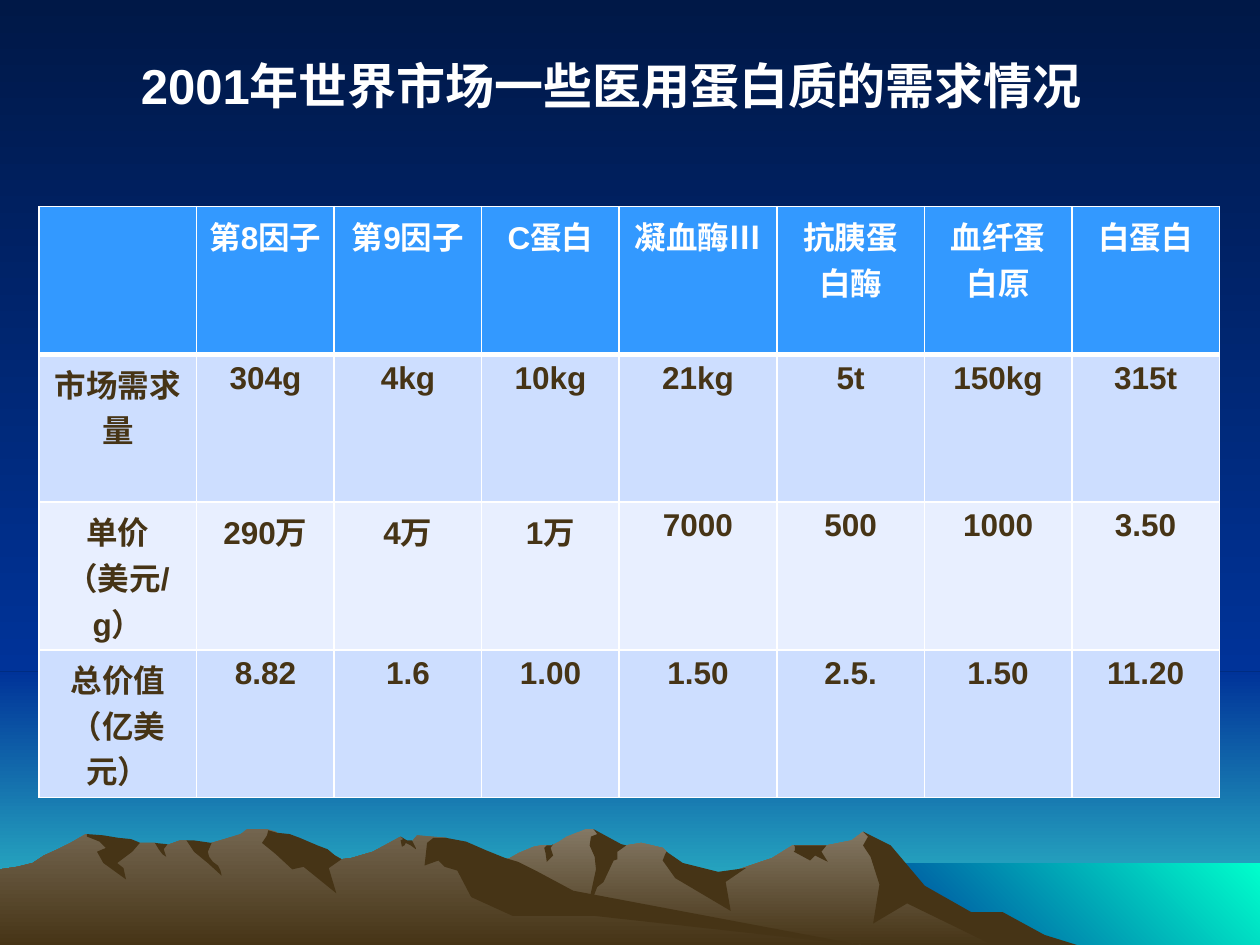
import pptx
import pptx.dml.color
import pptx.enum.shapes
import pptx.enum.text
import pptx.util
from pptx.oxml.ns import qn
from lxml import etree

SLIDE_W, SLIDE_H = 10, 7.5
HORIZON = 5.33
NIGHT, BLUE, WHITE, BROWN = "001847", "003399", "FFFFFF", "463416"
HEADER, BAND, LIGHT_BAND = "3399FF", "CDDEFF", "E8EFFF"
FONT = "Arial"

TITLE = "2001年世界市场一些医用蛋白质的需求情况"
ROWS = [
    ["", "第8因子", "第9因子", "C蛋白", "凝血酶Ⅲ", "抗胰蛋白酶", "血纤蛋白原", "白蛋白"],
    ["市场需求量", "304g", "4kg", "10kg", "21kg", "5t", "150kg", "315t"],
    ["单价\n（美元/g）", "290万", "4万", "1万", "7000", "500", "1000", "3.50"],
    ["总价值（亿美元）", "8.82", "1.6", "1.00", "1.50", "2.5.", "1.50", "11.20"],
]
TABLE_BOX = (0.31, 1.64, 9.37, 4.69)
COL_SHARES = [1.25, 1.09, 1.17, 1.09, 1.25, 1.17, 1.17, 1.17]
ROW_FILLS = [HEADER, BAND, LIGHT_BAND, BAND]
THIN, THICK = 1, 3

# left, top, width, height, (first colour, last colour, clockwise angle)
BACKDROP = [
    (0, HORIZON, SLIDE_W, SLIDE_H - HORIZON, (BLUE, "33CCCC", 90)),
    (0, 0, SLIDE_W, HORIZON, (NIGHT, BLUE, 90)),
    (6.83, 6.85, 3.17, 0.67, (BLUE, "00FFCC", 315)),
]

RIGHT_RANGE = """8.02,7.4 7.78,7.27 7.64,7.23 7.23,6.98 7.02,6.71 6.85,6.6 6.76,6.67
    6.56,6.71 6.29,6.71 6.13,6.81 5.66,6.97 5.36,6.9 5.29,6.76 5.26,6.73 5.09,6.69
    4.97,6.71 4.86,6.73 4.74,6.61 4.71,6.58 4.65,6.58 4.5,6.64 4.44,6.68 4.38,6.71
    4.3,6.71 4.24,6.72 4.12,6.77 4.05,6.81 3.94,6.85 3.55,6.98 3.27,7.09 2.77,7.39
    2.58,7.51 8.21,7.51"""
RIGHT_SHADOWS = [
    """7.96,7.24 7.71,7.24 7.34,7.03 7.07,6.71 6.85,6.6 6.89,6.64 6.85,6.71 6.91,6.8
    6.98,7.02 6.93,7.33 7.2,7.17 7.92,7.52 8.58,7.51 8.29,7.42""",
    """4.71,6.58 4.74,6.62 4.69,6.64 4.68,6.71 4.72,6.8 4.73,6.9 4.65,7.27 4.74,7.04
    4.79,7 4.87,6.83 4.9,6.82 4.9,6.76 4.97,6.71 4.93,6.7""",
    """5.29,6.76 5.28,6.78 5.26,6.83 5.36,6.97 5.8,7.23 5.76,7 5.92,6.89 5.7,6.92
    5.42,6.85""",
    """6.5,6.71 6.3,6.71 6.31,6.72 6.31,6.75 6.3,6.76 6.43,6.83 6.47,6.79 6.57,6.84
    6.52,6.76 6.56,6.71""",
    "4.33,6.77 4.32,6.73 4.34,6.71 4.38,6.71 4.39,6.7 4.37,6.73 4.39,6.79 4.34,6.84",
]
LEFT_RANGE = """6.9,7.51 6.67,7.48 4.32,7.12 3.54,6.65 3.31,6.63 3.27,6.68 3.23,6.68
    3.18,6.64 2.96,6.76 2.79,6.81 2.71,6.82 2.6,6.76 2.36,6.81 2.23,6.63 2.19,6.6
    2.12,6.58 1.96,6.58 1.91,6.62 1.78,6.66 1.68,6.69 1.6,6.71 1.48,6.67 1.43,6.67
    1.32,6.71 1.28,6.71 1.23,6.69 1.11,6.69 0.94,6.71 0.68,6.62 0.56,6.69 0.46,6.74
    0.35,6.79 0.26,6.85 0.14,6.88 0,6.9 0,7.51"""
LEFT_SHADOWS = [
    """2.12,6.63 2.08,6.69 2.19,6.78 2.32,6.9 2.41,6.88 2.67,7.09 2.61,6.89 2.71,6.82
    2.66,6.79 2.6,6.74 2.52,6.71 2.38,6.65 2.3,6.62 2.2,6.61 2.13,6.59""",
    """3.7,6.68 3.54,6.65 3.44,6.65 3.39,6.69 3.37,6.87 3.48,6.83 3.53,6.88 3.63,6.91
    3.74,7.12 4.07,7.27 4.72,7.27 6.9,7.51 6.83,7.5 4.55,7.07 4.27,6.92 4.11,6.84
    4.01,6.81 3.86,6.75""",
    """3.18,6.67 3.2,6.66 3.18,6.64 3.23,6.67 3.27,6.67 3.3,6.73 3.3,6.74 3.26,6.71
    3.22,6.69 3.21,6.71 3.19,6.72""",
    """1.54,6.67 1.61,6.68 1.68,6.69 1.65,6.76 1.66,6.8 1.69,6.84 1.73,6.87 1.75,6.91
    1.76,6.95 1.65,6.85 1.54,6.76 1.48,6.67""",
    "1.33,6.7 1.3,6.74 1.32,6.8 1.29,6.78 1.26,6.74 1.23,6.69",
    """1.09,6.68 1.11,6.69 1.05,6.76 0.93,6.85 0.98,6.89 1,6.98 0.82,6.85 0.77,6.76
    0.84,6.73 0.79,6.68 0.69,6.64 0.69,6.62 0.82,6.63 0.94,6.65 1.04,6.66""",
]
MOUNTAINS = [
    (RIGHT_RANGE, ("847864", BROWN, 90)),
    *[(outline, BROWN) for outline in RIGHT_SHADOWS],
    (LEFT_RANGE, ("73654F", BROWN, 90)),
    *[(outline, BROWN) for outline in LEFT_SHADOWS],
]


def rgb(color):
    return pptx.dml.color.RGBColor.from_string(color)


def inches(*values):
    return [pptx.util.Inches(v) for v in values]


def paint(fill, paint_with):
    """Fill with one colour, or with (first, last, clockwise angle)."""
    if isinstance(paint_with, str):
        fill.solid()
        fill.fore_color.rgb = rgb(paint_with)
        return
    *colors, angle = paint_with
    fill.gradient()
    fill.gradient_angle = 360 - angle
    for stop, color in zip(fill.gradient_stops, colors):
        stop.color.rgb = rgb(color)


def finish(s, paint_with):
    s.shadow.inherit = False
    s.line.fill.background()
    paint(s.fill, paint_with)


def add_polygon(shapes, outline, paint_with):
    points = [inches(*map(float, pair.split(","))) for pair in outline.split()]
    builder = shapes.build_freeform(*points[0])
    builder.add_line_segments(points[1:], close=True)
    finish(builder.convert_to_shape(), paint_with)


def write(tf, text, size, color, align):
    for i, line in enumerate(text.split("\n")):
        p = tf.paragraphs[0] if i == 0 else tf.add_paragraph()
        p.alignment = align
        p.font.size = pptx.util.Pt(size)
        if not line:
            continue
        r = p.add_run()
        r.text = line
        r.font.name = FONT
        r.font.size = pptx.util.Pt(size)
        r.font.bold = True
        r.font.color.rgb = rgb(color)


def set_borders(cell, widths):
    tc_pr = cell._tc.get_or_add_tcPr()
    for side, width in widths.items():
        ln = etree.SubElement(tc_pr, qn(f"a:ln{side}"), w=str(pptx.util.Pt(width)))
        solid = etree.SubElement(ln, qn("a:solidFill"))
        etree.SubElement(solid, qn("a:srgbClr"), val=WHITE)


def add_demand_table(shapes):
    width, height = TABLE_BOX[2:]
    table = shapes.add_table(len(ROWS), len(COL_SHARES), *inches(*TABLE_BOX)).table
    table.first_row = table.horz_banding = False
    for column, share in zip(table.columns, COL_SHARES):
        column.width = pptx.util.Inches(width * share / sum(COL_SHARES))
    for i, texts in enumerate(ROWS):
        table.rows[i].height = pptx.util.Inches(height / len(ROWS))
        widths = {"L": THIN, "R": THIN,
                  "T": THICK if i == 1 else THIN, "B": THICK if i == 0 else THIN}
        for j, text in enumerate(texts):
            cell = table.cell(i, j)
            cell.margin_bottom = pptx.util.Inches(0.03)
            set_borders(cell, widths)
            paint(cell.fill, ROW_FILLS[i])
            write(cell.text_frame, text, 18, BROWN if i else WHITE,
                  pptx.enum.text.PP_ALIGN.CENTER)


def main():
    prs = pptx.Presentation()
    prs.slide_width, prs.slide_height = inches(SLIDE_W, SLIDE_H)
    slide = prs.slides.add_slide(prs.slide_layouts[6])
    paint(slide.background.fill, (NIGHT, BLUE, 90))
    shapes = slide.shapes
    for *box, gradient in BACKDROP:
        s = shapes.add_shape(pptx.enum.shapes.MSO_SHAPE.RECTANGLE, *inches(*box))
        finish(s, gradient)
    for outline, paint_with in MOUNTAINS:
        add_polygon(shapes, outline, paint_with)
    add_demand_table(shapes)
    tf = shapes.add_textbox(*inches(1.02, 0.39, 8.05, 0.57)).text_frame
    tf.word_wrap = True
    tf.auto_size = pptx.enum.text.MSO_AUTO_SIZE.SHAPE_TO_FIT_TEXT
    write(tf, TITLE, 28, WHITE, pptx.enum.text.PP_ALIGN.LEFT)
    prs.save("out.pptx")


if __name__ == "__main__":
    main()
